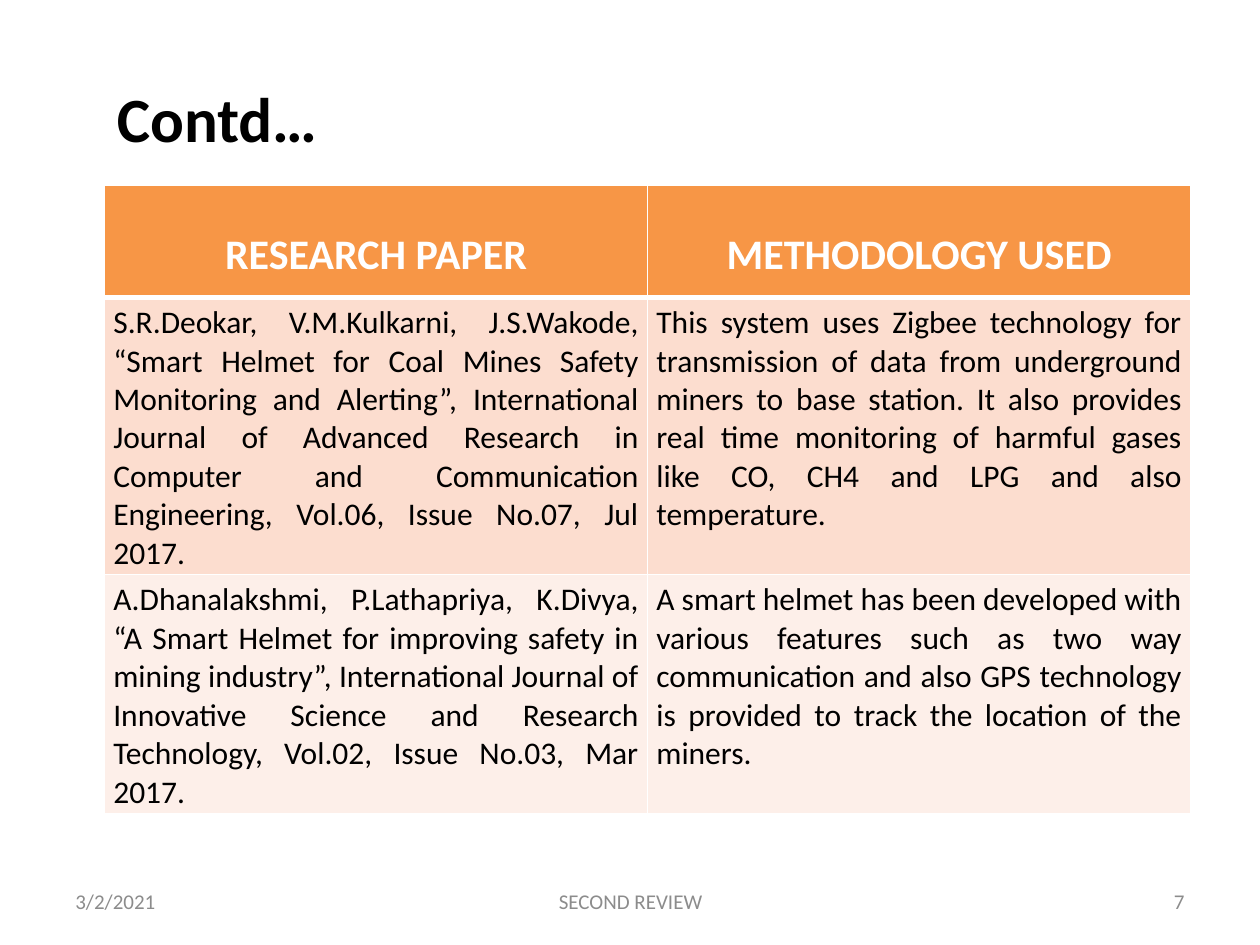
from dataclasses import dataclass

from lxml.etree import SubElement
from pptx import Presentation
from pptx.dml.color import RGBColor
from pptx.enum.text import MSO_ANCHOR, PP_ALIGN
from pptx.oxml.ns import qn
from pptx.util import Inches, Pt


@dataclass(frozen=True)
class Theme:
    font: str = "Calibri"
    ink: str = "000000"
    muted: str = "8C8C8C"
    white: str = "FFFFFF"
    accent: str = "F79646"
    bands: tuple = ("FCDDCF", "FDEFE9")
    title_size: int = 36
    header_size: int = 24
    body_size: int = 18
    footer_size: int = 12
    thin_line: int = 1
    thick_line: int = 3


class SlideBuilder:
    def __init__(self, deck, theme):
        self.theme = theme
        self.page = deck.slides.add_slide(deck.slide_layouts[6])

    def fill_frame(self, frame, text, size, color, align, bold=False):
        para = frame.paragraphs[0]
        para.alignment = align
        span = para.add_run()
        span.text = text
        formats = {"name": self.theme.font, "size": Pt(size), "bold": bold}
        for name, value in formats.items():
            setattr(span.font, name, value)
        span.font.color.rgb = RGBColor.from_string(color)

    def text(self, area, text, size, color, align, bold=False):
        box = self.page.shapes.add_textbox(*map(Inches, area))
        box.text_frame.word_wrap = True
        box.text_frame.vertical_anchor = MSO_ANCHOR.MIDDLE
        self.fill_frame(box.text_frame, text, size, color, align, bold)

    def borders(self, cell, top, bottom):
        thin = self.theme.thin_line
        sides = {"a:lnL": thin, "a:lnR": thin, "a:lnT": top, "a:lnB": bottom}
        properties = cell._tc.get_or_add_tcPr()
        for side, width in sides.items():
            line = SubElement(properties, qn(side), w=str(Pt(width)))
            fill = SubElement(line, qn("a:solidFill"))
            SubElement(fill, qn("a:srgbClr"), val=self.theme.white)

    def cell(self, cell, text, row):
        theme = self.theme
        header = row == 0
        margins = {"left": 0.07, "right": 0.07, "bottom": 0.05,
                   "top": 0.35 if header else 0.05}
        for side, margin in margins.items():
            setattr(cell, f"margin_{side}", Inches(margin))
        self.borders(cell,
                     theme.thick_line if row == 1 else theme.thin_line,
                     theme.thick_line if header else theme.thin_line)
        cell.fill.solid()
        color = theme.accent if header else theme.bands[(row - 1) % 2]
        cell.fill.fore_color.rgb = RGBColor.from_string(color)
        if header:
            style = (theme.header_size, theme.white, PP_ALIGN.CENTER, True)
        else:
            style = (theme.body_size, theme.ink, PP_ALIGN.JUSTIFY)
        self.fill_frame(cell.text_frame, text, *style)

    def table(self, left, top, width, heights, rows):
        columns = len(rows[0])
        area = map(Inches, (left, top, width, sum(heights)))
        table = self.page.shapes.add_table(len(rows), columns, *area).table
        for column in table.columns:
            column.width = Inches(width / columns)
        for row, (height, texts) in enumerate(zip(heights, rows)):
            table.rows[row].height = Inches(height)
            for column, text in enumerate(texts):
                self.cell(table.cell(row, column), text, row)


PAPERS = [
    ("RESEARCH PAPER", "METHODOLOGY USED"),
    ("S.R.Deokar, V.M.Kulkarni, J.S.Wakode, “Smart Helmet for Coal Mines "
     "Safety Monitoring and Alerting”, International Journal of Advanced "
     "Research in Computer and Communication Engineering, Vol.06, "
     "Issue No.07, Jul 2017.",
     "This system uses Zigbee technology for transmission of data from "
     "underground miners to base station. It also provides real time "
     "monitoring of harmful gases like CO, CH4 and LPG and also temperature."),
    ("A.Dhanalakshmi, P.Lathapriya, K.Divya, “A Smart Helmet for improving "
     "safety in mining industry”, International Journal of Innovative "
     "Science and Research Technology, Vol.02, Issue No.03, Mar 2017.",
     "A smart helmet has been developed with various features such as two "
     "way communication and also GPS technology is provided to track the "
     "location of the miners."),
]

FOOTERS = [
    (0.5, 2.33, "3/2/2021", PP_ALIGN.LEFT),
    (3.42, 3.17, "SECOND REVIEW", PP_ALIGN.CENTER),
    (7.17, 2.33, "7", PP_ALIGN.RIGHT),
]


def main():
    deck = Presentation()
    deck.slide_width = Inches(10)
    deck.slide_height = Inches(7.5)
    theme = Theme()
    builder = SlideBuilder(deck, theme)
    builder.text((0.83, 0.58, 8.3, 0.7), "Contd…", theme.title_size,
                 theme.ink, PP_ALIGN.JUSTIFY, bold=True)
    builder.table(0.83, 1.47, 8.62, (0.89, 2.09, 1.9), PAPERS)
    for left, width, text, align in FOOTERS:
        builder.text((left, 6.95, width, 0.4), text, theme.footer_size,
                     theme.muted, align)
    deck.save("out.pptx")


if __name__ == "__main__":
    main()
